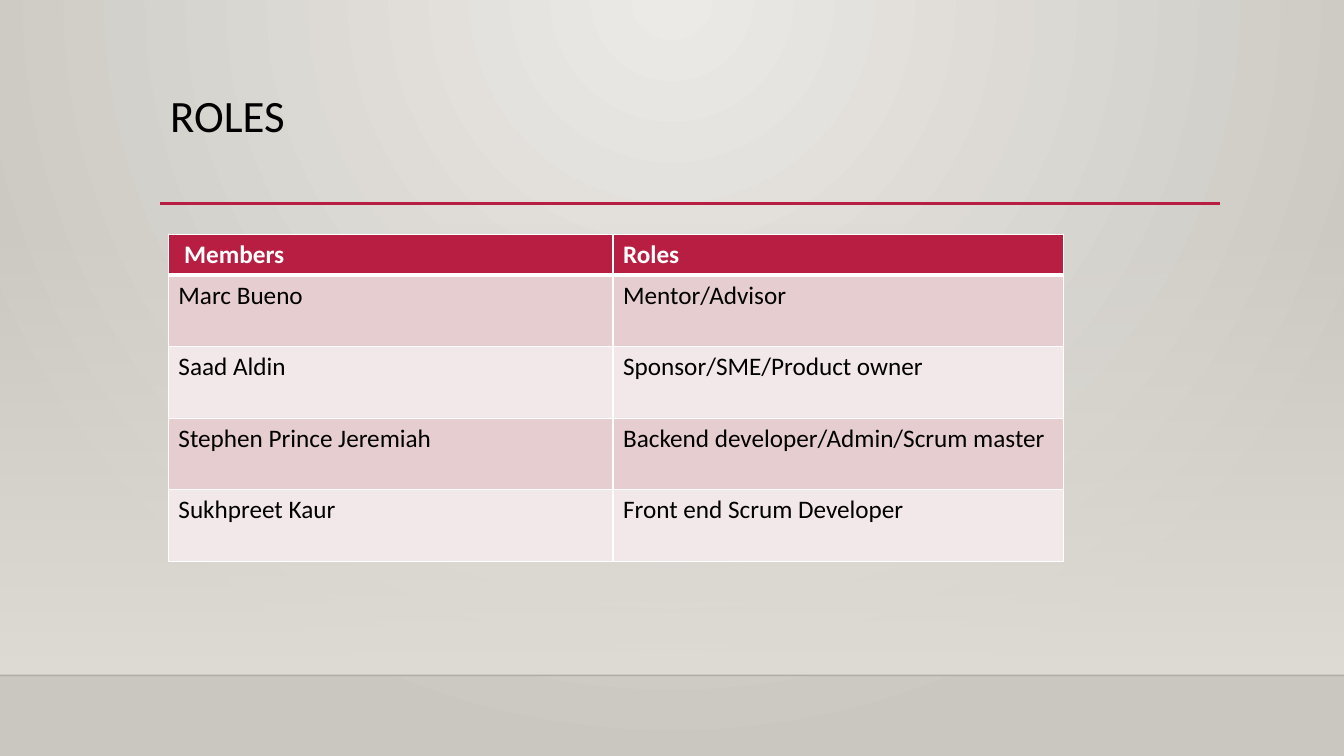
from dataclasses import dataclass

from pptx import Presentation
from pptx import util as u
from pptx.dml.color import RGBColor
from pptx.enum import shapes, text
from pptx.oxml import ns, parse_xml

WIDTH, HEIGHT = 13.33, 7.5
FONT = "Calibri"
COLORS = {
    "accent": "B71E42", "white": "FFFFFF", "black": "000000", "edge": "000001",
    "odd": "E6CDCF", "even": "F3E8E9",
    "glow": "ECEAE7", "shade": "CAC7C1", "wall": "DFDBD5",
}
CIRCLE = '<a:path path="circle"><a:fillToRect l="43000" r="43000" b="100000"/></a:path>'
DOWNWARD = '<a:lin ang="5400000" scaled="0"/>'
COLUMNS = (4.41, 4.47)
HEADER_HEIGHT, ROW_HEIGHT = 0.39, 0.71


@dataclass
class Rule:
    left: float
    right: float
    top: float
    color: str
    weight: float
    opacity: int = 100


@dataclass
class Member:
    name: str
    role: str


RULES = [
    Rule(0, 1, 6.7 / HEIGHT, "edge", 1, 20),
    Rule(1.59 / WIDTH, 12.1 / WIDTH, 2.02 / HEIGHT, "accent", 2.5),
]
MEMBERS = [
    Member(" Members", "Roles"),
    Member("Marc Bueno", "Mentor/Advisor"),
    Member("Saad Aldin", "Sponsor/SME/Product owner"),
    Member("Stephen Prince Jeremiah", "Backend developer/Admin/Scrum master"),
    Member("Sukhpreet Kaur", "Front end Scrum Developer"),
]


def rgb(name: str) -> RGBColor:
    return RGBColor.from_string(COLORS[name])


def color_xml(name: str, opacity: int = 100) -> str:
    return f'<a:srgbClr val="{COLORS[name]}"><a:alpha val="{opacity * 1000}"/></a:srgbClr>'


def gradient_xml(start: str, end: str, direction: str, opacity: int = 100) -> str:
    return (f'<a:gradFill {ns.nsdecls("a")} rotWithShape="1"><a:gsLst>'
            f'<a:gs pos="0">{color_xml(start, opacity)}</a:gs>'
            f'<a:gs pos="100000">{color_xml(end)}</a:gs>'
            f'</a:gsLst>{direction}</a:gradFill>')


def style(para, size: float, color: str, bold: bool = False) -> None:
    for span in para.runs:
        span.font.name = FONT
        span.font.size = u.Pt(size)
        span.font.bold = bold
        span.font.color.rgb = rgb(color)


def add_backdrop(page) -> None:
    fill = gradient_xml("glow", "shade", CIRCLE)
    page.element.cSld.insert(0, parse_xml(
        f'<p:bg {ns.nsdecls("p", "a")}><p:bgPr>{fill}<a:effectLst/></p:bgPr></p:bg>'))
    wall = page.shapes.add_shape(shapes.MSO_SHAPE.RECTANGLE, 0, u.Inches(2.21),
                                 u.Inches(WIDTH), u.Inches(4.49))
    wall.shadow.inherit = False
    wall.line.fill.background()
    geometry = wall.element.spPr.find(ns.qn("a:prstGeom"))
    geometry.addnext(parse_xml(gradient_xml("wall", "wall", DOWNWARD, 0)))


def add_rule(page, rule: Rule) -> None:
    top = u.Inches(rule.top * HEIGHT)
    line = page.shapes.add_connector(
        shapes.MSO_CONNECTOR.STRAIGHT, u.Inches(rule.left * WIDTH), top,
        u.Inches(rule.right * WIDTH), top)
    line.line.width = u.Pt(rule.weight)
    line.line.color.rgb = rgb(rule.color)
    properties = line.element.spPr
    properties.append(parse_xml(f'<a:effectLst {ns.nsdecls("a")}/>'))
    if rule.opacity < 100:
        color = properties.find(".//" + ns.qn("a:srgbClr"))
        color.append(parse_xml(
            f'<a:alpha {ns.nsdecls("a")} val="{rule.opacity * 1000}"/>'))


def add_title(page, title: str) -> None:
    box = page.shapes.add_textbox(u.Inches(1.59), u.Inches(0.88),
                                  u.Inches(10.5), u.Inches(1.15))
    box.text_frame.word_wrap = True
    box.text_frame.vertical_anchor = text.MSO_ANCHOR.TOP
    box.text_frame.text = title
    para = box.text_frame.paragraphs[0]
    para.line_spacing = 0.9
    style(para, 32, "black")


def add_borders(cell, top: float, bottom: float) -> None:
    properties = cell._tc.get_or_add_tcPr()
    weights = {"lnL": 1, "lnR": 1, "lnT": top, "lnB": bottom}
    for index, (side, weight) in enumerate(weights.items()):
        properties.insert(index, parse_xml(
            f'<a:{side} {ns.nsdecls("a")} w="{u.Pt(weight)}"><a:solidFill>'
            f'{color_xml("white")}</a:solidFill></a:{side}>'))


def add_members(page, members: list[Member]) -> None:
    height = HEADER_HEIGHT + ROW_HEIGHT * (len(members) - 1)
    table = page.shapes.add_table(
        len(members), len(COLUMNS), u.Inches(1.67), u.Inches(2.33),
        u.Inches(sum(COLUMNS)), u.Inches(height)).table
    for column, width in zip(table.columns, COLUMNS):
        column.width = u.Inches(width)
    for index, member in enumerate(members):
        header = index == 0
        table.rows[index].height = u.Inches(HEADER_HEIGHT if header else ROW_HEIGHT)
        fill = "accent" if header else ("even", "odd")[index % 2]
        for column, content in enumerate((member.name, member.role)):
            cell = table.cell(index, column)
            cell.fill.solid()
            cell.fill.fore_color.rgb = rgb(fill)
            cell.text_frame.text = content
            style(cell.text_frame.paragraphs[0], 18,
                  "white" if header else "black", header)
            add_borders(cell, 3 if index == 1 else 1, 3 if header else 1)


def main() -> None:
    deck = Presentation()
    deck.slide_width, deck.slide_height = u.Inches(WIDTH), u.Inches(HEIGHT)
    page = deck.slides.add_slide(deck.slide_layouts[6])
    add_backdrop(page)
    for rule in RULES:
        add_rule(page, rule)
    add_title(page, "ROLES")
    add_members(page, MEMBERS)
    deck.save("out.pptx")


if __name__ == "__main__":
    main()
